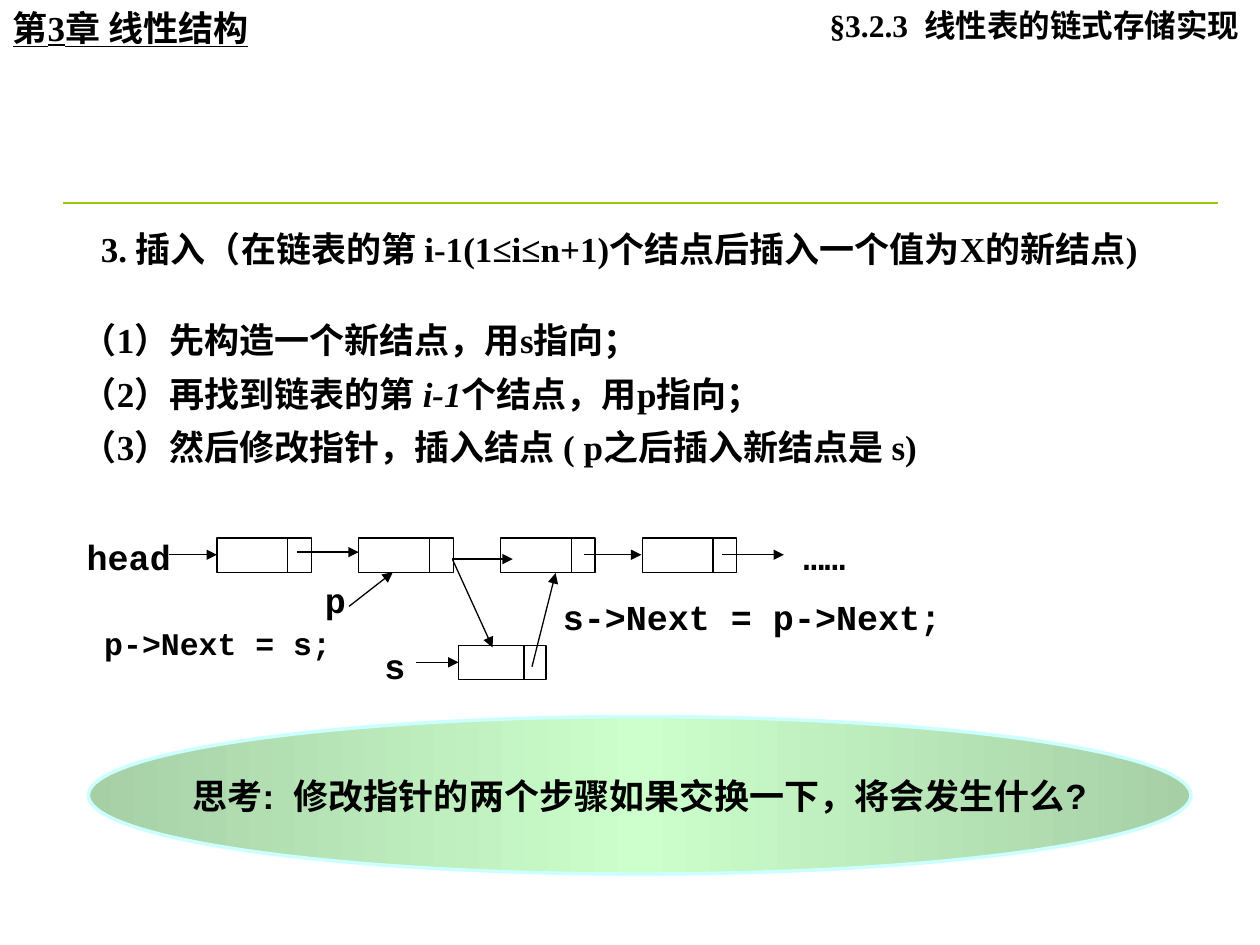
"""Build a slide on inserting a node into a linked list."""
import pptx
import pptx.util
import pptx.dml.color
import pptx.enum.shapes
import pptx.enum.text
import pptx.oxml.ns
import pptx.oxml.xmlchemy
import copy

Pt = pptx.util.Pt
RGBColor = pptx.dml.color.RGBColor
ALIGN = pptx.enum.text.PP_ALIGN
SHAPE = pptx.enum.shapes.MSO_SHAPE
qn = pptx.oxml.ns.qn
OxmlElement = pptx.oxml.xmlchemy.OxmlElement

BLACK = RGBColor(0x00, 0x00, 0x00)
WHITE = RGBColor(0xFF, 0xFF, 0xFF)
RULE_GREEN = RGBColor(0x99, 0xCC, 0x00)
EDGE_GREEN = RGBColor(0xA6, 0xCF, 0xA6)
CENTRE_GREEN = RGBColor(0xCC, 0xFF, 0xCC)
PALE_CYAN = RGBColor(0xCC, 0xFF, 0xFF)
SERIF, MONO, SANS = "Times New Roman", "Courier New", "Arial"


def write(paragraph, text, font=SERIF, size=20, align=ALIGN.LEFT, italic=False, underline=False):
    paragraph.alignment = align
    run = paragraph.add_run()
    run.text = text
    run.font.name = font
    run.font.size = Pt(size)
    run.font.bold = True
    run.font.italic = italic
    run.font.underline = underline
    run.font.color.rgb = BLACK


def draw_line(start, end, color=BLACK, width=0.75, arrow=True):
    line = slide.shapes.add_connector(
        pptx.enum.shapes.MSO_CONNECTOR.STRAIGHT, *[Pt(v) for v in (*start, *end)])
    line.line.color.rgb = color
    line.line.width = Pt(width)
    properties = line._element.spPr
    if arrow:
        head = OxmlElement("a:tailEnd")
        head.set("type", "triangle")
        properties.find(qn("a:ln")).append(head)
    properties.append(OxmlElement("a:effectLst"))


presentation = pptx.Presentation()
presentation.slide_width, presentation.slide_height = Pt(720), Pt(540)
slide = presentation.slides.add_slide(presentation.slide_layouts[1])

chapter = slide.shapes.title
steps = slide.placeholders[1]
for holder, bounds in ((chapter, (0, 0, 150.5, 55.5)), (steps, (39.5, 178.5, 506, 117.5))):
    holder.left, holder.top, holder.width, holder.height = [Pt(v) for v in bounds]
    holder.text_frame.word_wrap = True
    holder.text_frame.auto_size = pptx.enum.text.MSO_AUTO_SIZE.NONE
    holder.text_frame.vertical_anchor = pptx.enum.text.MSO_ANCHOR.TOP
write(chapter.text_frame.paragraphs[0], "第3章 线性结构", underline=True)

draw_line((36, 116), (696, 116), RULE_GREEN, 1.5, arrow=False)

step_runs = [
    ["（1）先构造一个新结点，用s指向；"],
    ["（2）再找到链表的第 ", "i-1", "个结点，用p指向；"],
    ["（3）然后修改指针，插入结点 ( p之后插入新结点是 s)"],
]
for number, runs in enumerate(step_runs):
    step = steps.text_frame.paragraphs[0] if number == 0 else steps.text_frame.add_paragraph()
    step_format = step._p.get_or_add_pPr()
    step_format.set("marL", "0")
    step_format.set("indent", "0")
    step_format.append(OxmlElement("a:buNone"))
    step.space_before = Pt(6.5 if number else 0)
    for text in runs:
        write(step, text, italic=text == "i-1")

for node_left, node_top, data_width, link_width in (
        *[(124 + 81 * n, 307.5, 40.5, 13.5) for n in range(4)], (262, 369, 37.5, 12.5)):
    for left, width in ((node_left, data_width), (node_left + data_width, link_width)):
        cell = slide.shapes.add_shape(SHAPE.RECTANGLE, Pt(left), Pt(node_top), Pt(width), Pt(19.5))
        cell.shadow.inherit = False
        cell.fill.solid()
        cell.fill.fore_color.rgb = WHITE
        cell.line.color.rgb = BLACK
        cell.line.width = Pt(0.75)

for start, end in (
        ((96.5, 317), (124, 317)), ((170, 315.5), (205, 315.5)),
        ((333.5, 317), (366.5, 317)), ((412.5, 317), (448, 317)),
        ((258.5, 319.5), (293, 319.5)), ((258.5, 319.5), (281.5, 370)),
        ((199.5, 346.5), (224.5, 327)), ((237.5, 378.5), (262, 378.5)),
        ((304, 381), (317.5, 327.5))):
    draw_line(start, end)

for text, bounds, style in (
        ("3. 插入（在链表的第 i-1(1≤i≤n+1)个结点后插入一个值为X的新结点)", (50.5, 126.5, 610, 55.5), {}),
        ("§3.2.3  线性表的链式存储实现", (422, 0, 297.5, 29), {"size": 18, "align": ALIGN.RIGHT}),
        ("head", (42.5, 302.5, 63.5, 34), {"font": MONO}),
        ("……", (452, 302.5, 63.5, 34), {"font": MONO}),
        ("p", (178.5, 327, 46, 34), {"font": MONO}),
        ("s", (212.5, 364.5, 37.5, 34), {"font": MONO}),
        ("s->Next = p->Next;", (314.5, 336.5, 281.5, 31.5), {"font": MONO}),
        ("p->Next = s;", (52.5, 353, 166.5, 29), {"font": MONO, "size": 18})):
    label = slide.shapes.add_textbox(*[Pt(v) for v in bounds])
    label.text_frame.word_wrap = True
    if style.get("align") == ALIGN.RIGHT:
        label.text_frame.margin_right = Pt(11.5)
    write(label.text_frame.paragraphs[0], text, **style)

question = slide.shapes.add_shape(SHAPE.OVAL, Pt(50.5), Pt(409.5), Pt(630), Pt(90))
question.shadow.inherit = False
question.line.color.rgb = PALE_CYAN
question.line.width = Pt(2)
question.fill.gradient()
question.fill.gradient_angle = 0
stop_list = question._element.spPr.find(qn("a:gradFill")).find(qn("a:gsLst"))
stop_list.append(copy.deepcopy(stop_list[-1]))
for stop, position, color in zip(
        question.fill.gradient_stops, (0, 0.5, 1), (EDGE_GREEN, CENTRE_GREEN, EDGE_GREEN)):
    stop.position = position
    stop.color.rgb = color
question.text_frame.word_wrap = False
question.text_frame.vertical_anchor = pptx.enum.text.MSO_ANCHOR.MIDDLE
write(question.text_frame.paragraphs[0], "思考:  修改指针的两个步骤如果交换一下，将会发生什么?",
      font=SANS, align=ALIGN.CENTER)

presentation.save("out.pptx")
